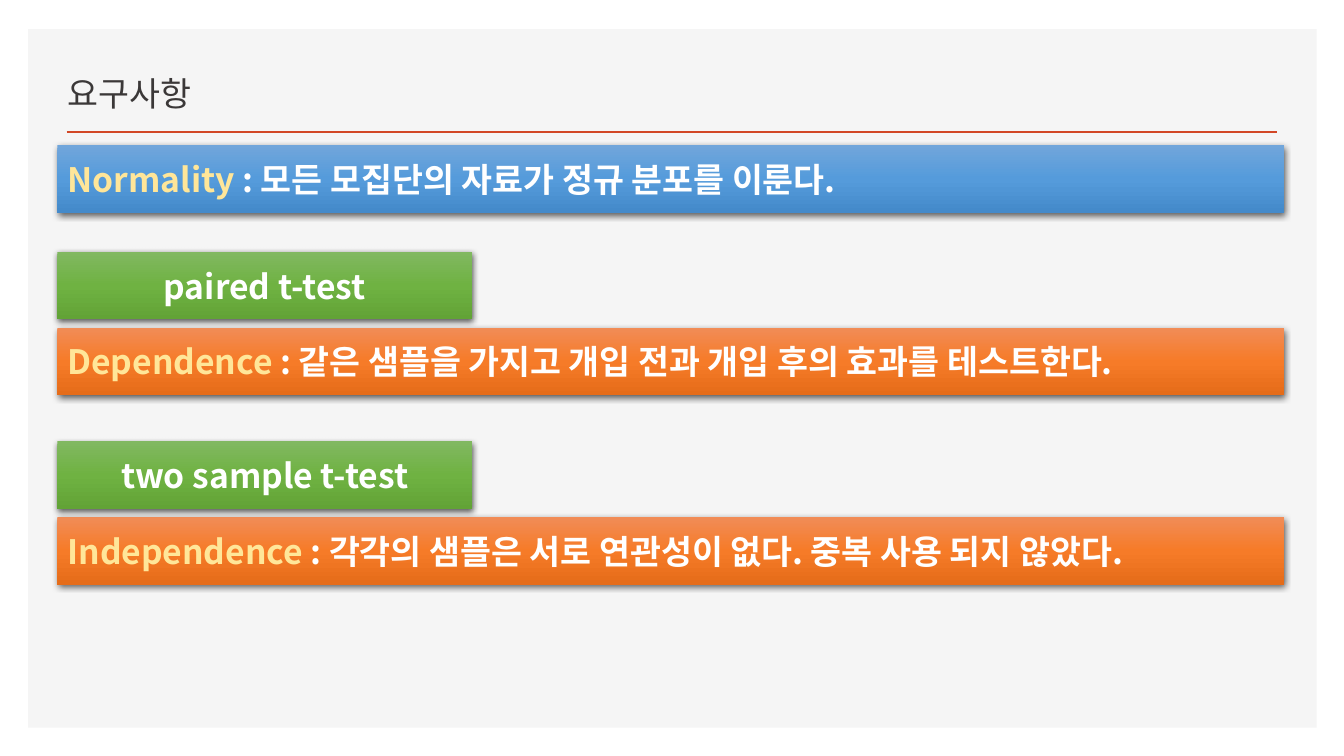
from lxml.etree import SubElement
from pptx import Presentation
from pptx.dml.color import RGBColor
from pptx.enum.shapes import MSO_CONNECTOR as LINE, MSO_SHAPE as SHAPE
from pptx.enum.text import MSO_ANCHOR as ANCHOR, PP_ALIGN as ALIGN
from pptx.oxml.ns import qn
from pptx.util import Inches, Pt

SANS = "Noto Sans CJK KR"
BLUE = "71A6DB", "559BDB", "448ACA"
ORANGE = "F18C57", "F67B28", "E56C19"
GREEN = "81B861", "6FB242", "62A336"
LEFT, WIDE, NARROW, HIGH = 0.57, 12.17, 4.11, 0.67

TESTS = [
    ("paired t-test", "Dependence",
     " : 같은 샘플을 가지고 개입 전과 개입 후의 효과를 테스트한다."),
    ("two sample t-test", "Independence",
     " : 각각의 샘플은 서로 연관성이 없다. 중복 사용 되지 않았다."),
]


def paint(part, color):
    """Colour a solid fill, a line or a font."""
    fill = part if hasattr(part, "fore_color") else part.fill
    fill.solid()
    fill.fore_color.rgb = RGBColor.from_string(color)


def style(para, face, color, bold=False):
    font = para.font
    paint(font, color)
    font.size, font.bold, font.name = Pt(24), bold, face
    SubElement(font._element, qn("a:ea"), typeface=SANS)


def shade(shape, colors):
    """Give a vertical three-stop gradient without an outline."""
    shape.line.fill.background()
    props = shape._element.spPr
    grad = SubElement(props, qn("a:gradFill"), rotWithShape="1")
    stops = SubElement(grad, qn("a:gsLst"))
    for i, color in enumerate(colors):
        stop = SubElement(stops, qn("a:gs"), pos=str(i * 50000))
        SubElement(stop, qn("a:srgbClr"), val=color)
    SubElement(grad, qn("a:lin"), ang="5400000", scaled="0")
    props.find(qn("a:ln")).addprevious(grad)


def drop(shape):
    """Cast a soft shadow straight down."""
    shape.shadow.inherit = False
    effects = shape._element.spPr.find(qn("a:effectLst"))
    shadow = SubElement(effects, qn("a:outerShdw"), blurRad=str(Pt(4.5)),
                        dist=str(Pt(1.5)), dir="5400000", algn="ctr",
                        rotWithShape="0")
    color = SubElement(shadow, qn("a:srgbClr"), val="000000")
    SubElement(color, qn("a:alpha"), val="63000")


def add_bar(slide, top, width, colors, text, term="", align=ALIGN.LEFT):
    bar = slide.shapes.add_shape(SHAPE.RECTANGLE, Inches(LEFT), Inches(top),
                                 Inches(width), Inches(HIGH))
    shade(bar, colors)
    drop(bar)
    frame = bar.text_frame
    frame.word_wrap, frame.vertical_anchor = True, ANCHOR.MIDDLE
    para = frame.paragraphs[0]
    para.alignment = align
    style(para, SANS, "FFFFFF", bold=True)
    if term:
        run = para.add_run()
        run.text = term
        paint(run.font, "FFE699")
    para.add_run().text = text


def add_panel(slide):
    panel = slide.shapes.add_shape(SHAPE.RECTANGLE, Inches(0.28), Inches(0.29),
                                   Inches(12.78), Inches(6.93))
    paint(panel, "F5F5F5")
    panel.line.fill.background()
    panel.shadow.inherit = False
    slide.shapes._spTree.insert(2, panel._element)  # behind the title


def add_rule(slide):
    rule = slide.shapes.add_connector(LINE.STRAIGHT, Inches(0.66), Inches(1.31),
                                      Inches(12.67), Inches(1.31))
    paint(rule.line, "D24726")
    rule.line.width = Pt(2)
    SubElement(rule._element.spPr, qn("a:effectLst"))


def set_title(slide, text):
    title = slide.shapes.title
    title.left, title.top = Inches(LEFT), Inches(0.48)
    title.width, title.height = Inches(8.93), Inches(0.7)
    frame = title.text_frame
    frame.text = text
    frame.vertical_anchor = ANCHOR.BOTTOM
    para = frame.paragraphs[0]
    para.alignment, para.line_spacing = ALIGN.LEFT, 0.9
    style(para, "Cabin", "3B3838")


def main():
    deck = Presentation()
    deck.slide_width, deck.slide_height = Inches(13.33), Inches(7.5)
    slide = deck.slides.add_slide(deck.slide_layouts[5])
    add_panel(slide)
    add_rule(slide)
    set_title(slide, "요구사항")
    add_bar(slide, 1.44, WIDE, BLUE,
            " : 모든 모집단의 자료가 정규 분포를 이룬다.", "Normality")
    for i, (name, term, text) in enumerate(TESTS):
        top = 2.5 + 1.88 * i
        add_bar(slide, top + 0.75, WIDE, ORANGE, text, term)
        add_bar(slide, top, NARROW, GREEN, name, align=ALIGN.CENTER)
    deck.save("out.pptx")


if __name__ == "__main__":
    main()
